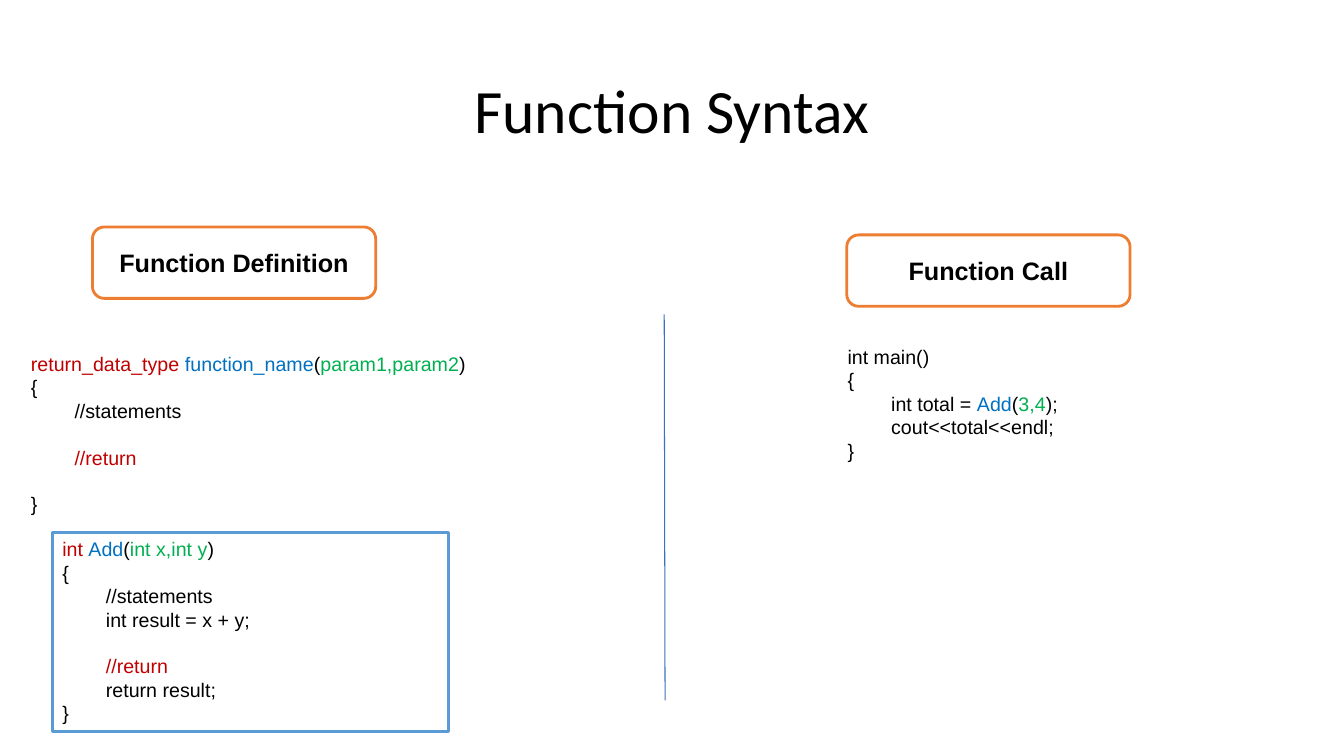
from lxml import etree
from pptx import Presentation
from pptx import util as u
from pptx.dml.color import RGBColor
from pptx.enum import shapes, text
from pptx.oxml.ns import qn

HUES = {"ink": "000000", "type": "C00000", "name": "0070C0", "args": "00B050",
        "paper": "FFFFFF", "badge": "ED7D31", "frame": "5B9BD5", "rule": "3F6FC3"}

# Places are left, top, width, height in centimetres
TITLE = ("Function Syntax", (2.33, 1.02, 29.21, 3.68))
BADGES = [("Function Definition", (2.33, 5.72, 7.14, 1.8)),
          ("Function Call", (21.34, 5.92, 7.14, 1.8))]

# Code lines are indent level, skipped lines above, runs of (words, hue)
SYNTAX = [
    (0, 0, [("return_data_type ", "type"), ("function_name", "name"), ("(", "ink"),
            ("param1,param2", "args"), (")", "ink")]),
    (0, 0, [("{", "ink")]),
    (1, 0, [("//statements", "ink")]),
    (1, 1, [("//return", "type")]),
    (0, 1, [("}", "ink")]),
]
SAMPLE = [
    (0, 0, [("int ", "type"), ("Add", "name"), ("(", "ink"),
            ("int x,int y", "args"), (")", "ink")]),
    (0, 0, [("{", "ink")]),
    (1, 0, [("//statements", "ink")]),
    (1, 0, [("int result = x + y;", "ink")]),
    (1, 1, [("//return", "type")]),
    (1, 0, [("return result;", "ink")]),
    (0, 0, [("}", "ink")]),
]
CALL = [
    (0, 0, [("int main()", "ink")]),
    (0, 0, [("{", "ink")]),
    (1, 0, [("int total = ", "ink"), ("Add", "name"), ("(", "ink"),
            ("3,4", "args"), (");", "ink")]),
    (1, 0, [("cout<<total<<endl;", "ink")]),
    (0, 0, [("}", "ink")]),
]
CODES = [(SYNTAX, (0.53, 8.74, 11.71, 4.45), None),
         (SAMPLE, (1.32, 13.41, 9.98, 5.03), "frame"),
         (CALL, (21.11, 8.56, 8.36, 3.25), None)]
RULE = (16.74, 7.92, 16.76, 17.65)
INDENT = u.Cm(1.1)
PITCH = u.Pt(16.5)


def cms(nums):
    return [u.Cm(n) for n in nums]


def color(hue):
    return RGBColor.from_string(HUES[hue])


def style(run, size, hue="ink", face="Arial", bold=False):
    font = run.font
    font.name, font.size, font.bold = face, u.Pt(size), bold
    font.color.rgb = color(hue)


def add_box(slide, place, kind=None, edge=None):
    """Add a text box, or an outlined preset shape when an edge hue is given."""
    if edge:
        box = slide.shapes.add_shape(kind, *cms(place))
        box.shadow.inherit = False
        box.fill.solid()
        box.fill.fore_color.rgb = color("paper")
        box.line.color.rgb = color(edge)
        box.line.width = u.Pt(2)
    else:
        box = slide.shapes.add_textbox(*cms(place))
    box.text_frame.word_wrap = True
    return box


def add_label(box, words, size, **look):
    frame = box.text_frame
    frame.text = words
    frame.vertical_anchor = text.MSO_ANCHOR.MIDDLE
    para = frame.paragraphs[0]
    para.alignment = text.PP_ALIGN.CENTER
    style(para.runs[0], size, **look)
    return para


def add_code(slide, lines, place, edge):
    frame = add_box(slide, place, shapes.MSO_SHAPE.RECTANGLE, edge).text_frame
    frame.vertical_anchor = text.MSO_ANCHOR.TOP
    frame.auto_size = text.MSO_AUTO_SIZE.SHAPE_TO_FIT_TEXT
    for i, (level, skip, runs) in enumerate(lines):
        para = frame.add_paragraph() if i else frame.paragraphs[0]
        para.alignment = text.PP_ALIGN.LEFT
        para.space_before = skip * PITCH
        para._p.get_or_add_pPr().set("marL", str(level * INDENT))
        for words, hue in runs:
            run = para.add_run()
            run.text = words
            style(run, 14, hue)


def add_rule(slide):
    rule = slide.shapes.add_connector(shapes.MSO_CONNECTOR.STRAIGHT, *cms(RULE))
    rule.line.color.rgb = color("rule")
    rule.line.width = u.Pt(0.75)
    etree.SubElement(rule._element.spPr, qn("a:effectLst"))


def main():
    deck = Presentation()
    deck.slide_width, deck.slide_height = cms((33.87, 19.05))
    slide = deck.slides.add_slide(deck.slide_layouts[6])
    words, place = TITLE
    head = add_label(add_box(slide, place), words, 44, face="Calibri")
    head.line_spacing = 0.9
    for words, place in BADGES:
        badge = add_box(slide, place, shapes.MSO_SHAPE.ROUNDED_RECTANGLE, "badge")
        add_label(badge, words, 18, bold=True)
    for lines, place, edge in CODES:
        add_code(slide, lines, place, edge)
    add_rule(slide)
    deck.save("out.pptx")


if __name__ == "__main__":
    main()
